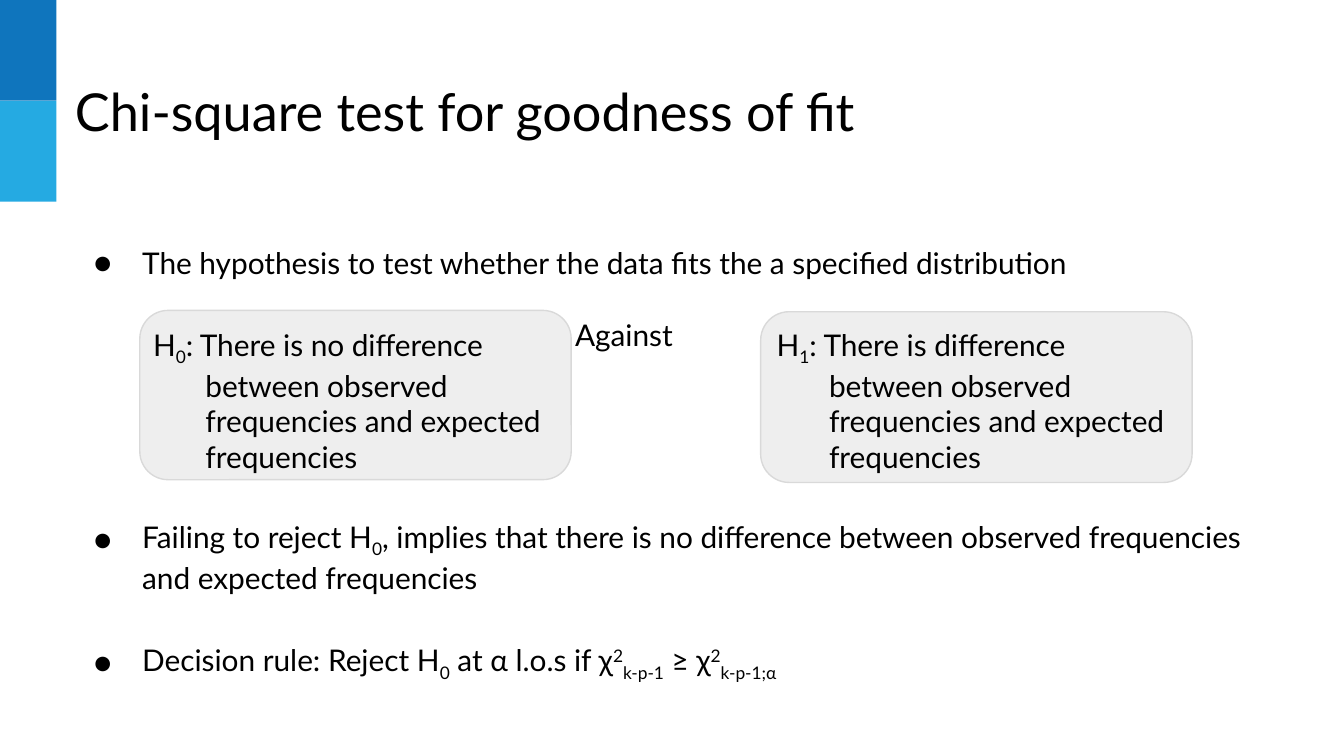
import pptx
import pptx.dml.color
import pptx.enum.shapes
import pptx.enum.text
import pptx.oxml.ns
import pptx.util
from lxml import etree
from pptx.util import Inches

FONT = "Lato"
COLORS = {
    "text": "000000",
    "dark_blue": "0F75BD",
    "light_blue": "25AAE2",
    "panel": "EEEEEE",
    "panel_line": "D9D9D9",
}
SUB, SUPER = -25, 30


def color(name):
    return pptx.dml.color.RGBColor.from_string(COLORS[name])


def add_run(paragraph, text, size=16, fill="text", baseline=0):
    run = paragraph.add_run()
    run.text = text
    run.font.name = FONT
    run.font.size = pptx.util.Pt(size)
    run.font.color.rgb = color(fill)
    if baseline:
        run.font._element.set("baseline", str(baseline * 1000))


def add_runs(paragraph, parts, **text_format):
    """Each part is plain text or a (text, baseline) pair."""
    for part in parts:
        text, baseline = (part, 0) if isinstance(part, str) else part
        add_run(paragraph, text, baseline=baseline, **text_format)


def add_text_box(slide, left, top, width, height):
    frame = slide.shapes.add_textbox(
        Inches(left), Inches(top), Inches(width), Inches(height)).text_frame
    frame.word_wrap = True
    frame.vertical_anchor = pptx.enum.text.MSO_ANCHOR.TOP
    frame.margin_left = frame.margin_right = Inches(0.1)
    frame.margin_top = frame.margin_bottom = Inches(0.1)
    return frame


def set_indent(paragraph, left, first_line=0):
    properties = paragraph._p.get_or_add_pPr()
    properties.set("marL", str(Inches(left)))
    properties.set("indent", str(Inches(first_line)))


def add_bullet(paragraph):
    properties = paragraph._p.get_or_add_pPr()
    qn = pptx.oxml.ns.qn
    bullet_color = etree.SubElement(properties, qn("a:buClr"))
    etree.SubElement(bullet_color, qn("a:srgbClr"), val=COLORS["text"])
    etree.SubElement(properties, qn("a:buFont"), typeface=FONT)
    etree.SubElement(properties, qn("a:buChar"), char="●")


def add_block(slide, kind, left, top, width, height, fill, line=None):
    shape = slide.shapes.add_shape(
        kind, Inches(left), Inches(top), Inches(width), Inches(height))
    shape.shadow.inherit = False
    shape.fill.solid()
    shape.fill.fore_color.rgb = color(fill)
    if line:
        shape.line.color.rgb = color(line)
        shape.line.width = pptx.util.Pt(0.75)
    else:
        shape.line.fill.background()
    return shape


def add_body(slide, items):
    """Each item is (bulleted, space before, parts)."""
    frame = add_text_box(slide, 0.46, 1.72, 9.19, 3.57)
    for index, (bulleted, space_before, parts) in enumerate(items):
        paragraph = frame.add_paragraph() if index else frame.paragraphs[0]
        if bulleted:
            set_indent(paragraph, 0.5, -0.36)
            add_bullet(paragraph)
        else:
            set_indent(paragraph, 3.72)
        if space_before:
            paragraph.space_before = pptx.util.Pt(space_before)
        add_runs(paragraph, parts)


def add_hypothesis(slide, left, top, height, text_left, number, statement):
    panel = add_block(slide, pptx.enum.shapes.MSO_SHAPE.ROUNDED_RECTANGLE,
                      left, top, 3.21, height, "panel", line="panel_line")
    panel.adjustments[0] = 0.167
    paragraph = add_text_box(slide, text_left, 2.33, 3.21, 1.26).paragraphs[0]
    set_indent(paragraph, 0.39, -0.39)
    add_runs(paragraph, ["H", (number, SUB), ": " + statement])


def main():
    presentation = pptx.Presentation()
    # Widescreen, 16:9
    presentation.slide_width = Inches(10)
    presentation.slide_height = Inches(10) * 9 // 16
    slide = presentation.slides.add_slide(presentation.slide_layouts[6])

    # Corner bars
    for index, fill in enumerate(["dark_blue", "light_blue"]):
        add_block(slide, pptx.enum.shapes.MSO_SHAPE.RECTANGLE,
                  0, 0.75 * index, 0.42, 0.75, fill)

    # Body, with room beside and below "Against" for the hypotheses
    add_body(slide, [
        (True, 0, ["The hypothesis to test whether the data fits the a "
                   "specified distribution"]),
        (False, 19.2, ["Against"]),
        (True, 89.2, ["Failing to reject H", ("0", SUB),
                      ", implies that there is no difference between observed "
                      "frequencies and expected frequencies"]),
        (True, 25, ["Decision rule: Reject H", ("0", SUB),
                    " at α l.o.s if χ", ("2", SUPER), ("k-p-1", SUB),
                    " ≥ χ", ("2", SUPER), ("k-p-1;α", SUB)]),
    ])

    # Hypotheses
    outcome = "difference between observed frequencies and expected frequencies"
    add_hypothesis(slide, 1.04, 2.31, 1.26, 1.04, "0", "There is no " + outcome)
    add_hypothesis(slide, 5.66, 2.32, 1.27, 5.68, "1", "There is " + outcome)

    # Title
    title = add_text_box(slide, 0.46, 0.49, 8.93, 0.63)
    add_run(title.paragraphs[0], "Chi-square test for goodness of fit", size=28)

    presentation.save("out.pptx")


if __name__ == "__main__":
    main()
